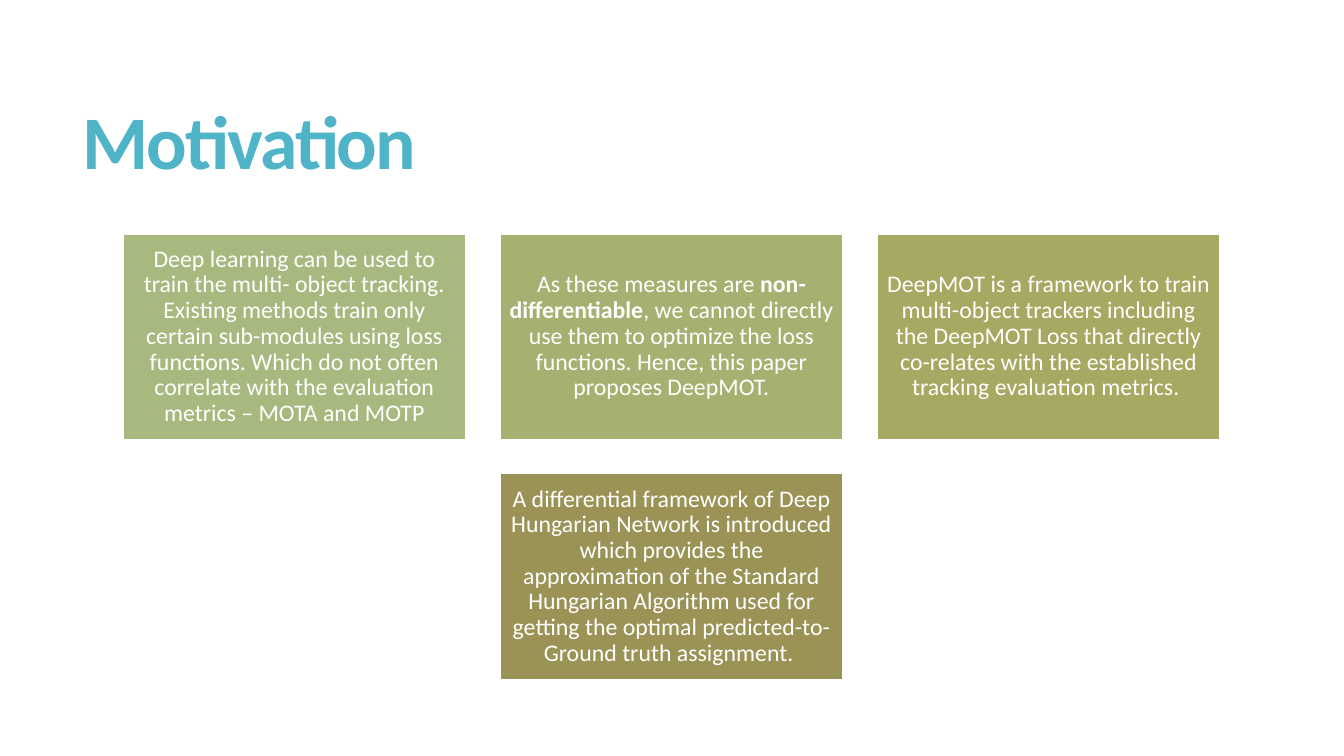
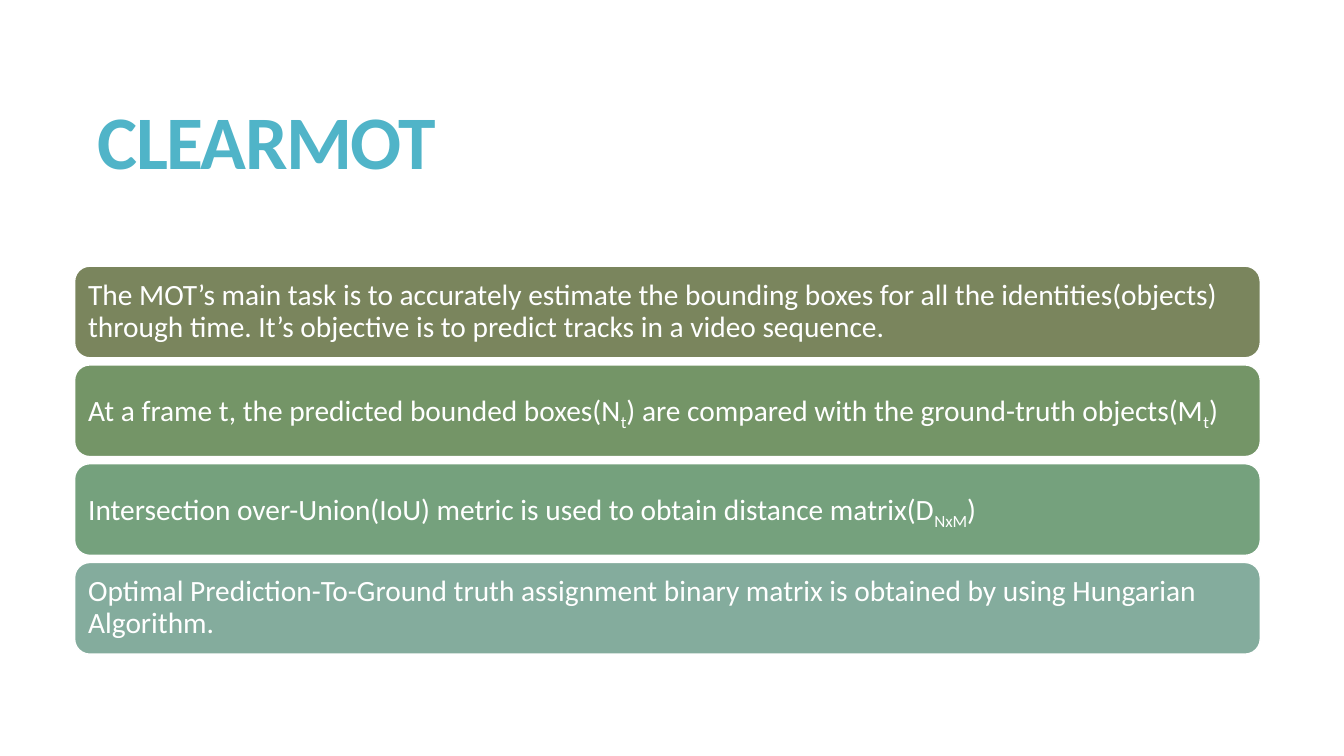
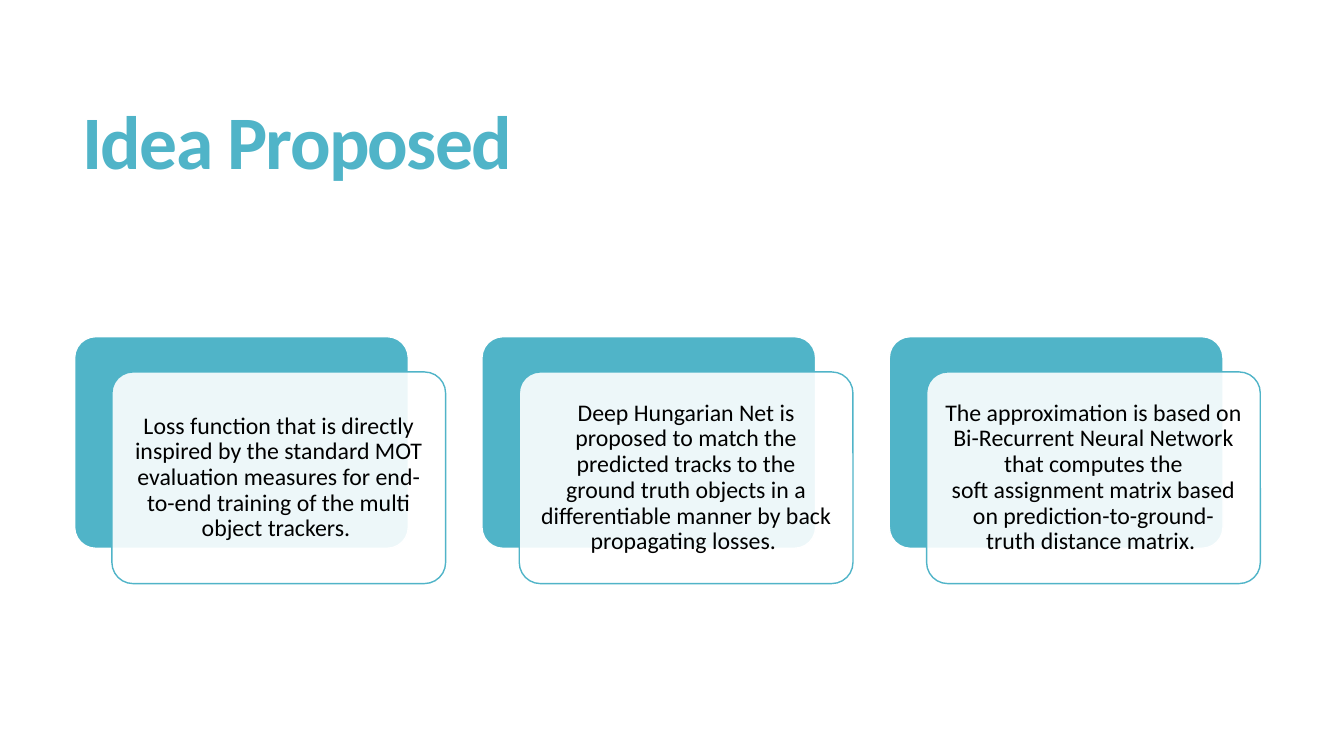
from dataclasses import dataclass

from pptx import Presentation
from pptx.dml.color import RGBColor
from pptx.enum.shapes import MSO_SHAPE as Preset
from pptx.enum.text import MSO_ANCHOR as Anchor, PP_ALIGN as Align
from pptx.oxml.xmlchemy import OxmlElement
from pptx.util import Inches, Pt


@dataclass(frozen=True)
class Theme:
    font: str = "Calibri"
    accent: str = "50B4C8"
    white: str = "FFFFFF"
    black: str = "000000"
    title_size: int = 54
    bar_size: int = 21
    card_size: int = 17
    title_spacing: int = -120  # hundredths of a point
    title_leading: float = 0.85
    body_leading: float = 0.9


theme = Theme()


def write(shape, text, size, color, align=Align.LEFT, leading=theme.body_leading,
          inset=0.07, mark=None):
    """Fill a shape with one paragraph: "~" is a no-break space, and every
    second part between "|" gets the run attribute and value in mark."""
    frame = shape.text_frame
    frame.word_wrap = True
    frame.vertical_anchor = Anchor.MIDDLE
    frame.margin_left = frame.margin_right = Inches(inset)
    frame.margin_top = frame.margin_bottom = Inches(inset)
    paragraph = frame.paragraphs[0]
    paragraph.alignment = align
    paragraph.line_spacing = leading
    paragraph.font.name = theme.font
    paragraph.font.size = Pt(size)
    paragraph.font.color.rgb = RGBColor.from_string(color)
    for number, part in enumerate(text.replace("~", chr(160)).split("|")):
        run = paragraph.add_run()
        run.text = part
        if number % 2:
            run._r.get_or_add_rPr().set(*mark)
    return paragraph


def add_panel(slide, preset, left, top, width, height, fill, line=theme.white):
    panel = slide.shapes.add_shape(
        preset, Inches(left), Inches(top), Inches(width), Inches(height))
    panel.shadow.inherit = False
    panel.fill.solid()
    panel.fill.fore_color.rgb = RGBColor.from_string(fill)
    panel.line.color.rgb = RGBColor.from_string(line)
    panel.line.width = Pt(1)
    return panel


deck = Presentation()
deck.slide_width, deck.slide_height = Inches(13.33), Inches(7.5)

slides = []
for heading in ["Motivation", "~CLEARMOT", "Idea Proposed"]:
    slide = deck.slides.add_slide(deck.slide_layouts[6])
    title = slide.shapes.add_textbox(
        Inches(0.72), Inches(0.55), Inches(11.78), Inches(1.81))
    title_line = write(title, heading, theme.title_size, theme.accent,
                       leading=theme.title_leading, inset=0.1)
    title_line.font.bold = True
    title_line.font._element.set("spc", str(theme.title_spacing))
    slides.append(slide)
motivation, clearmot, idea = slides

# Motivation: three cards in a row, the fourth centred below
card_width, card_height, card_gap = 3.4, 2.04, 0.34
reasons = [
    (0, 0, "A8B97F", "Deep learning can be used to train the multi- object tracking. "
     "Existing methods train only certain sub-modules using loss functions. Which do "
     "not often correlate with the evaluation metrics – MOTA and MOTP"),
    (1, 0, "A7B070", "As these measures are |non-differentiable|, we cannot directly use "
     "them to optimize the loss functions. Hence, this paper proposes DeepMOT."),
    (2, 0, "A7A861", "DeepMOT is a framework to train multi-object trackers including the "
     "DeepMOT Loss that directly co-relates with the established tracking evaluation "
     "metrics.~"),
    (1, 1, "9B9256", "A differential framework of Deep Hungarian Network is introduced "
     "which provides the approximation of the Standard Hungarian Algorithm used for "
     "getting the optimal predicted-to-Ground truth assignment.~"),
]
for column, row, fill, reason in reasons:
    card = add_panel(motivation, Preset.RECTANGLE,
                     1.22 + column * (card_width + card_gap),
                     2.32 + row * (card_height + card_gap),
                     card_width, card_height, fill)
    write(card, reason, theme.card_size, theme.white, Align.CENTER, mark=("b", "1"))

# CLEARMOT: a stack of full-width bars
bar_height, bar_gap = 0.91, 0.07
steps = [
    ("7A855D", "The MOT’s main task is to accurately estimate the bounding boxes for all "
     "the identities(objects) through time. It’s objective is to predict tracks in a "
     "video sequence."),
    ("749567", "At a frame t, the predicted bounded boxes(N|t|) are compared with the "
     "ground-truth objects(M|t|)"),
    ("75A17D", "Intersection over-Union(IoU) metric is used to obtain distance "
     "matrix(D|NxM|)"),
    ("84AC9D", "Optimal Prediction-To-Ground truth assignment binary matrix is obtained "
     "by using Hungarian Algorithm."),
]
for row, (fill, step) in enumerate(steps):
    bar = add_panel(clearmot, Preset.ROUNDED_RECTANGLE,
                    0.74, 2.64 + row * (bar_height + bar_gap), 11.76, bar_height, fill)
    write(bar, step, theme.bar_size, theme.white, inset=0.09,
          mark=("baseline", "-25000"))

# Idea Proposed: translucent cards set off from solid backs
idea_width, idea_height, idea_pitch = 3.31, 2.1, 4.04
proposals = [
    "Loss function that is directly inspired by the standard MOT evaluation measures for "
    "end-to-end training of the multi object trackers.~",
    "Deep Hungarian Net is proposed to match the predicted tracks to the ground~truth "
    "objects in a differentiable~manner by back propagating losses.~",
    "The approximation is based on Bi-Recurrent Neural~Network that computes the "
    "soft~assignment matrix~based on prediction-to-ground-truth~distance matrix.~",
]
for column, proposal in enumerate(proposals):
    left = 0.74 + column * idea_pitch
    back = add_panel(idea, Preset.ROUNDED_RECTANGLE, left, 3.34,
                     idea_width, idea_height, theme.accent)
    front = add_panel(idea, Preset.ROUNDED_RECTANGLE, left + 0.37, 3.69,
                      idea_width, idea_height, theme.white, theme.accent)
    back.adjustments[0] = front.adjustments[0] = 0.1
    alpha = OxmlElement("a:alpha")
    alpha.set("val", "90000")
    front.fill._xPr.solidFill[0].append(alpha)
    write(front, proposal, theme.card_size, theme.black, Align.CENTER)

deck.save("out.pptx")
